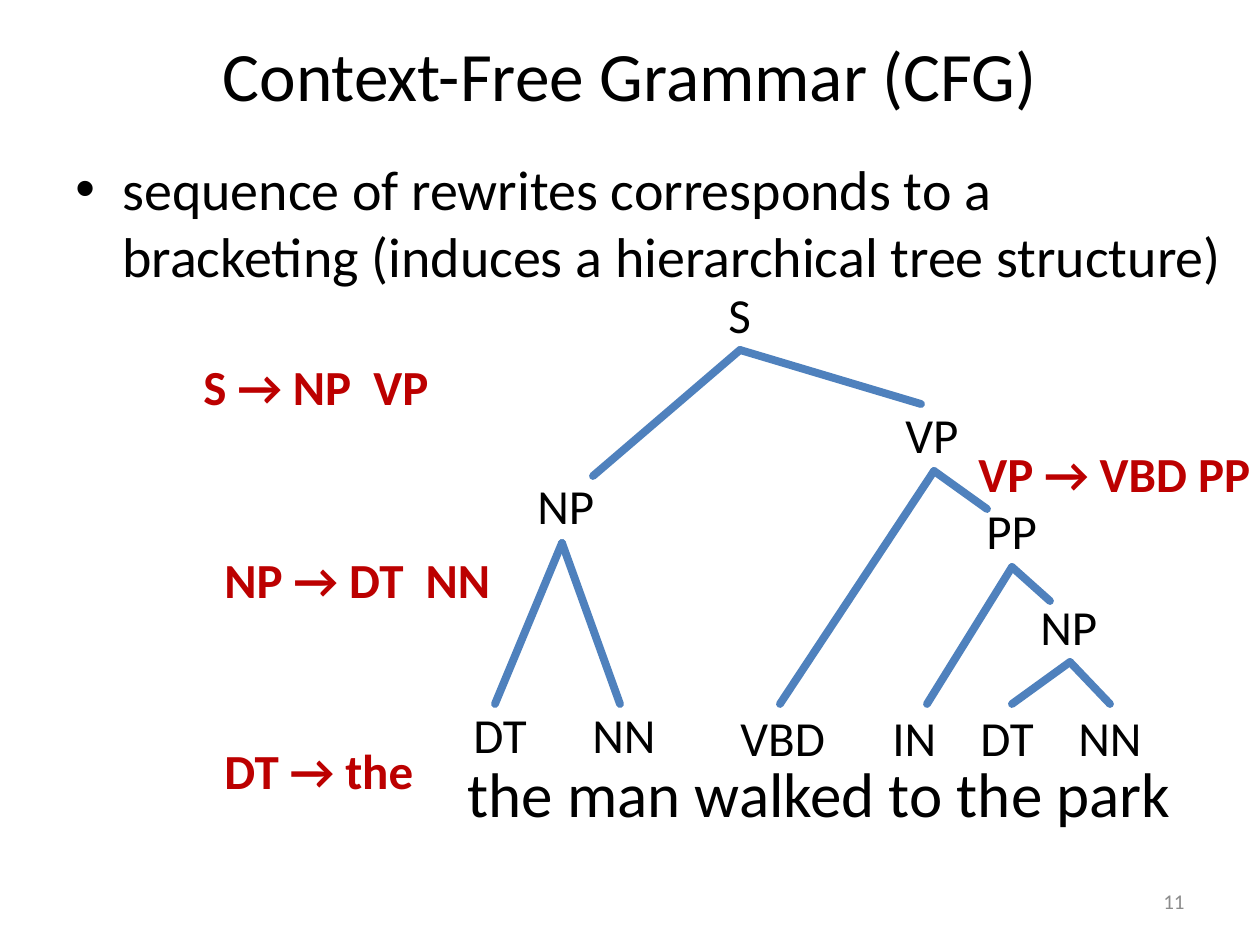
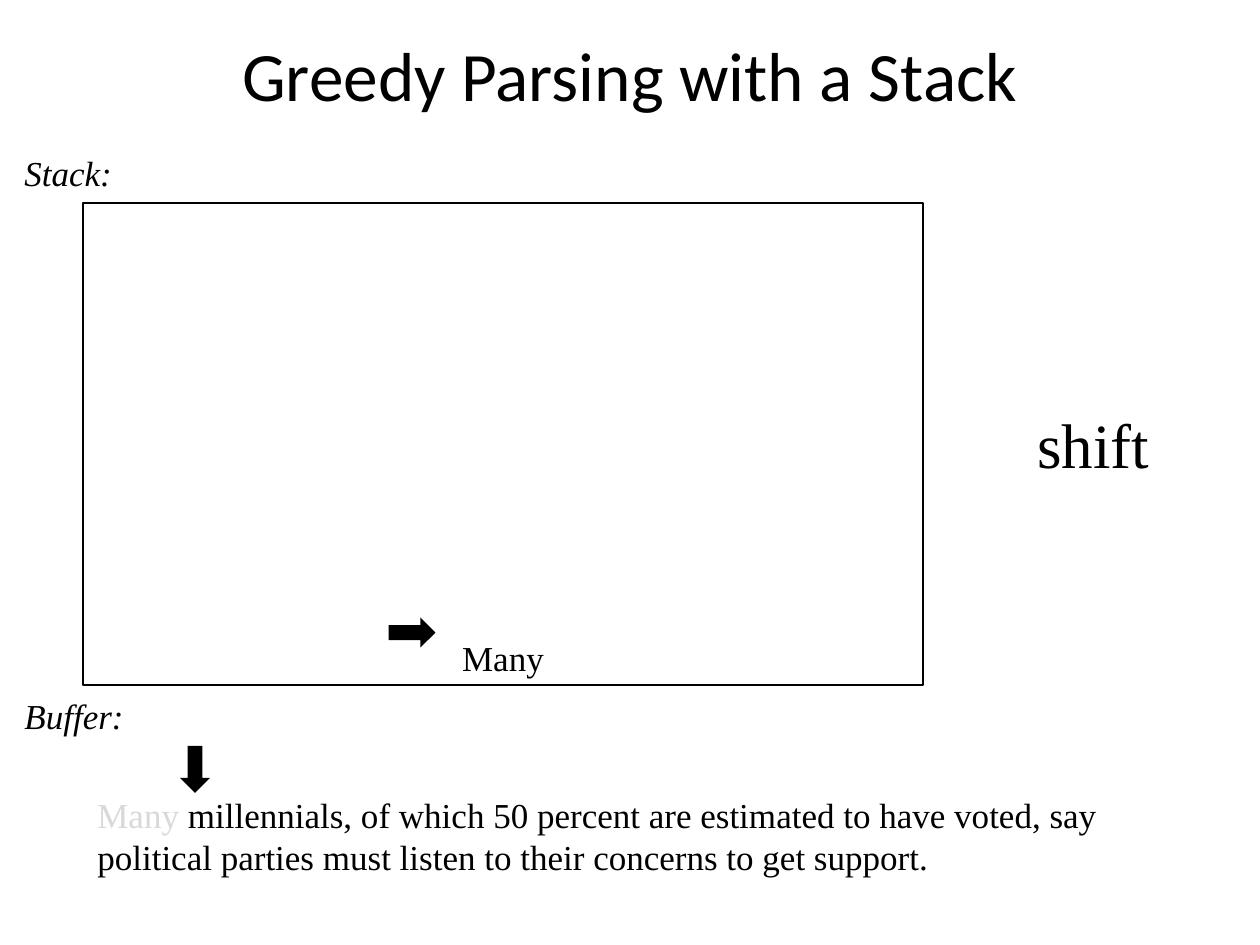
from dataclasses import dataclass
from lxml import etree
from pptx import Presentation
from pptx.dml.color import RGBColor
from pptx.enum.shapes import MSO_CONNECTOR, MSO_SHAPE
from pptx.enum.text import MSO_ANCHOR, PP_ALIGN
from pptx.oxml.ns import qn
from pptx.util import Emu, Pt

LEFT, CENTER, RIGHT = PP_ALIGN.LEFT, PP_ALIGN.CENTER, PP_ALIGN.RIGHT
TOP, MIDDLE, BOTTOM = MSO_ANCHOR.TOP, MSO_ANCHOR.MIDDLE, MSO_ANCHOR.BOTTOM
STRAIGHT = MSO_CONNECTOR.STRAIGHT
RECT, DOWN_ARROW = MSO_SHAPE.RECTANGLE, MSO_SHAPE.DOWN_ARROW


@dataclass(frozen=True)
class Theme:
    sans: str = "Calibri"
    serif: str = "Times New Roman"
    ink: str = "000000"
    rule: str = "BC0000"
    branch: str = "4F81BD"
    faded: str = "D9D9D9"
    number: str = "8C8C8C"
    title_size: float = 39.6
    body_size: int = 32
    big_size: int = 36
    node_size: int = 28
    small_size: int = 20
    number_size: int = 12


T = Theme()
SLIDE_W, SLIDE_H = 1260, 945
PX = 914400 / 126
TITLE_BOX = (63, 24, 1134, 100)

# ---- Content: grammar slide ----
CFG_TITLE = "Context-Free Grammar (CFG)"
CFG_BULLET = ("sequence of rewrites corresponds to a bracketing "
              "(induces a hierarchical tree structure)")
SENTENCE = "the man walked to the park"
SLIDE_NUMBER = "11"
LABEL_H, LEAF_Y = 72, 704

# key: (label, (x, y, width), point where the branch from the parent ends)
NODES = {
    "s": ("S", (716, 278, 48), None),
    "subject": ("NP", (525, 469, 83), (593, 476)),
    "vp": ("VP", (893, 398, 79), (921, 404)),
    "pp": ("PP", (974, 494, 77), (987, 509)),
    "object": ("NP", (1028, 590, 83), (1050, 601)),
    "dt1": ("DT", (461, 698, 79), (495, LEAF_Y)),
    "nn1": ("NN", (580, 698, 89), (620, LEAF_Y)),
    "vbd": ("VBD", (728, 701, 120), (780, LEAF_Y)),
    "in": ("IN", (880, 701, 85), (927, LEAF_Y)),
    "dt2": ("DT", (968, 701, 79), (1012, LEAF_Y)),
    "nn2": ("NN", (1066, 701, 89), (1110, LEAF_Y)),
}
# parent: (point where its branches start, children)
BRANCHES = {
    "s": ((740, 350), ("subject", "vp")),
    "subject": ((562, 543), ("dt1", "nn1")),
    "vp": ((934, 471), ("vbd", "pp")),
    "pp": ((1012, 567), ("in", "object")),
    "object": ((1070, 662), ("dt2", "nn2")),
}
RULES = [
    ("S → NP  VP", (191, 350, 257)),
    ("NP → DT  NN", (212, 543, 299)),
    ("VP → VBD PP", (966, 437, 315)),
    ("DT → the", (212, 734, 220)),
]

# ---- Content: stack slide ----
STACK_TITLE = "Greedy Parsing with a Stack"
CAPTIONS = [("Stack:", 145), ("Buffer:", 688)]
STACK_BOX, STACK_TOP = (83, 203, 840, 482), "Many"
ACTION = "shift"
BUFFER = [
    ("Many ", T.faded),
    ("millennials, of which 50 percent are estimated to have voted, say "
     "political parties must listen to their concerns to get support.", T.ink),
]
ARROWS = [((180, 746, 30, 47), 0), ((397, 609, 30, 47), 270)]


def px(*lengths):
    return [Emu(round(n * PX)) for n in lengths]


def rgb(color):
    return RGBColor.from_string(color)


def write(s, runs, size, font=T.sans, align=LEFT, anchor=TOP, wrap=True,
          bold=False, italic=False):
    """Fill the first paragraph with (text, colour) runs."""
    tf = s.text_frame
    tf.word_wrap, tf.vertical_anchor = wrap, anchor
    p = tf.paragraphs[0]
    p.alignment = align
    for text, color in runs:
        r = p.add_run()
        r.text = text
        r.font.name, r.font.size = font, Pt(size)
        r.font.bold, r.font.italic = bold, italic
        r.font.color.rgb = rgb(color)
    return p


def add_text(slide, box, text, size, color=T.ink, **style):
    s = slide.shapes.add_textbox(*px(*box))
    return write(s, [(text, color)], size, **style)


def add_bullet(p, indent):
    pPr = p._p.get_or_add_pPr()
    step = px(indent)[0]
    pPr.set("marL", str(step))
    pPr.set("indent", str(-step))
    etree.SubElement(pPr, qn("a:buFont")).set("typeface", "Arial")
    etree.SubElement(pPr, qn("a:buChar")).set("char", "•")


def add_branch(slide, start, end):
    c = slide.shapes.add_connector(STRAIGHT, *px(*start, *end))
    c.line.color.rgb = rgb(T.branch)
    c.line.width = Pt(4.5)
    c.line._ln.set("cap", "rnd")
    etree.SubElement(c._element.spPr, qn("a:effectLst"))


def add_shape(slide, kind, box, fill=None, line=None):
    s = slide.shapes.add_shape(kind, *px(*box))
    s.shadow.inherit = False
    for part, color in ((s.fill, fill), (s.line.fill, line)):
        if color:
            part.solid()
            part.fore_color.rgb = rgb(color)
        else:
            part.background()
    return s


def new_slide(prs, title):
    slide = prs.slides.add_slide(prs.slide_layouts[6])
    add_text(slide, TITLE_BOX, title, T.title_size, align=CENTER, anchor=MIDDLE)
    return slide


def build_grammar(prs):
    slide = new_slide(prs, CFG_TITLE)
    p = add_text(slide, (63, 148, 1183, 696), CFG_BULLET, T.body_size)
    add_bullet(p, 47)
    add_text(slide, (903, 876, 294, 50), SLIDE_NUMBER, T.number_size, T.number,
             align=RIGHT, anchor=MIDDLE)

    # Tree: branches first, then labels
    for start, children in BRANCHES.values():
        for child in children:
            add_branch(slide, start, NODES[child][2])
    add_text(slide, (455, 748, 740, 89), SENTENCE, T.big_size, wrap=False)
    for label, box, _ in NODES.values():
        add_text(slide, (*box, LABEL_H), label, T.node_size, wrap=False)

    # Rewrite rules
    for rule, box in RULES:
        add_text(slide, (*box, LABEL_H), rule, T.node_size, T.rule,
                 wrap=False, bold=True)


def build_stack(prs):
    slide = new_slide(prs, STACK_TITLE)

    # Buffer text and captions
    s = slide.shapes.add_textbox(*px(85, 787, 1134, 105))
    write(s, BUFFER, T.small_size, T.serif)
    for caption, y in CAPTIONS:
        add_text(slide, (12, y, 135, 53), caption, T.small_size, font=T.serif,
                 italic=True)

    # Stack frame and current action
    s = add_shape(slide, RECT, STACK_BOX, line=T.ink)
    s.line.width = Pt(0.75)
    write(s, [(STACK_TOP, T.ink)], T.small_size, T.serif, CENTER, BOTTOM)
    add_text(slide, (1022, 399, 142, 89), ACTION, T.big_size, font=T.serif,
             align=CENTER, wrap=False)

    # Position arrows
    for box, turn in ARROWS:
        add_shape(slide, DOWN_ARROW, box, fill=T.ink).rotation = turn


def main():
    prs = Presentation()
    prs.slide_width, prs.slide_height = px(SLIDE_W, SLIDE_H)
    build_grammar(prs)
    build_stack(prs)
    prs.save("out.pptx")


if __name__ == "__main__":
    main()
